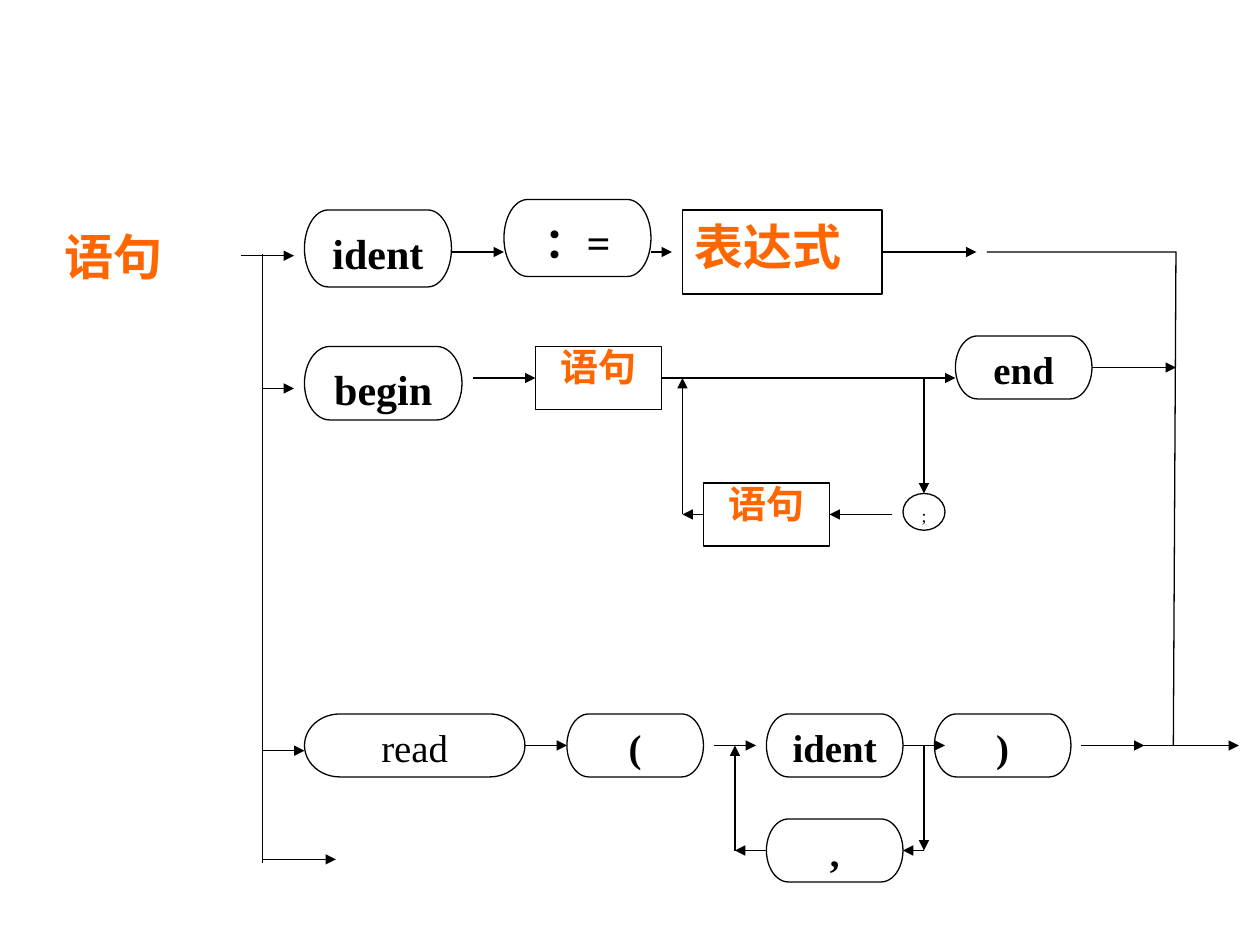
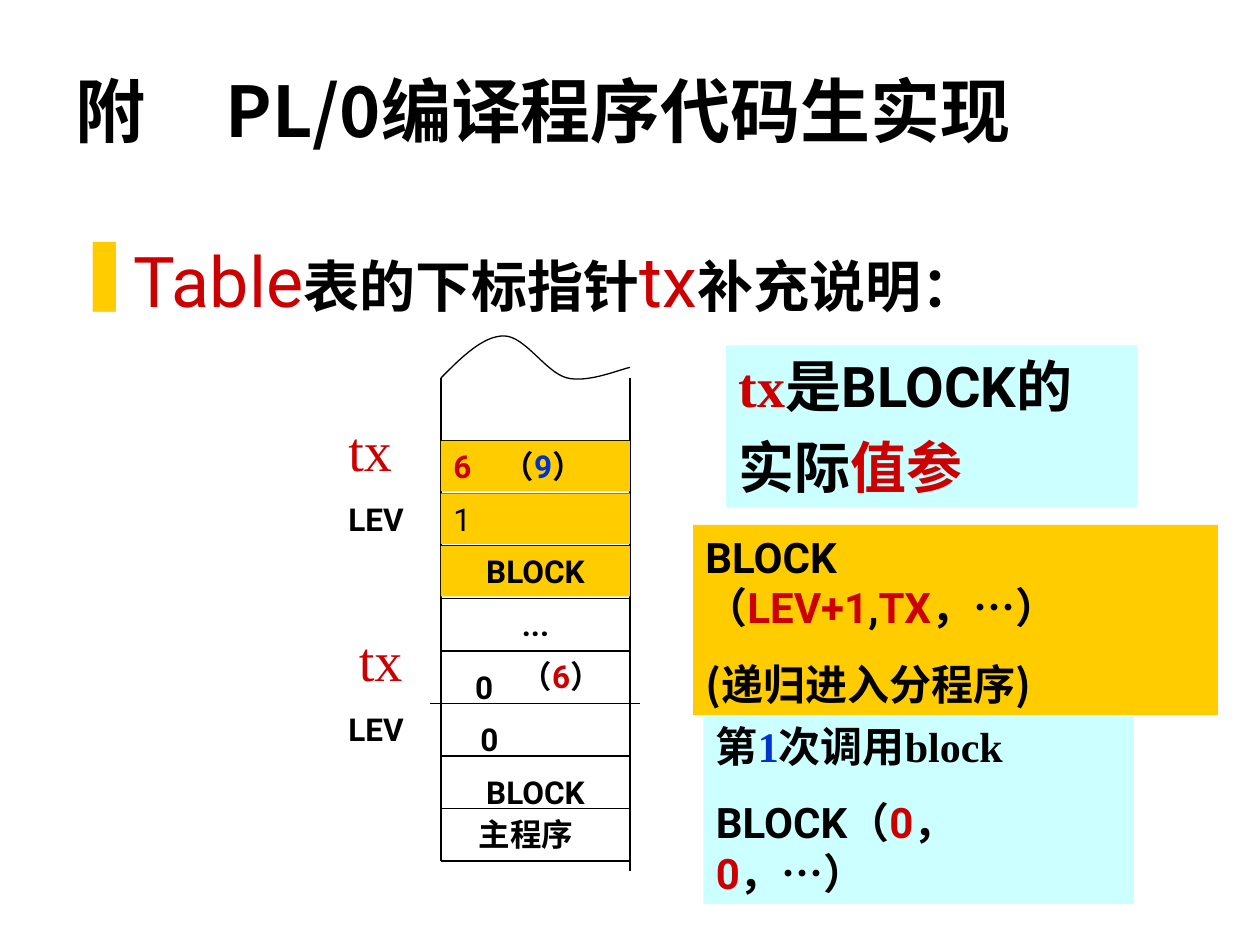
import pptx
import pptx.util
import pptx.dml.color
import pptx.enum.shapes
import pptx.enum.text
from lxml import etree
from pptx.oxml.ns import qn

COLORS = {"black": "000000", "white": "FFFFFF", "orange": "FF6600", "red": "CC0000",
          "blue": "0033CC", "gold": "FFCC00", "aqua": "CCFFFF"}
SERIF, SANS, CJK = "Times New Roman", "Roboto", "Noto Sans CJK SC"
LEFT, CENTER = pptx.enum.text.PP_ALIGN.LEFT, pptx.enum.text.PP_ALIGN.CENTER
SHAPE = pptx.enum.shapes.MSO_SHAPE
STRAIGHT = pptx.enum.shapes.MSO_CONNECTOR.STRAIGHT
Pt = pptx.util.Pt
RGB = pptx.dml.color.RGBColor.from_string

deck = pptx.Presentation()
deck.slide_width, deck.slide_height = pptx.util.Inches(10), pptx.util.Inches(7.5)
CELL = deck.slide_width // 120  # the grid has 120 columns and 90 rows


def write(box, paragraphs, align=LEFT, leading=1, before=0, tab=None, **style):
    """Fill a box with paragraphs of (text, style changes) runs; a "\\n" run breaks the line."""
    frame = box.text_frame
    frame.word_wrap = True
    frame.auto_size = pptx.enum.text.MSO_AUTO_SIZE.NONE
    frame.vertical_anchor = pptx.enum.text.MSO_ANCHOR.TOP
    for number, runs in enumerate(paragraphs):
        para = frame.add_paragraph() if number else frame.paragraphs[0]
        para.alignment, para.line_spacing = align, leading
        para.space_before = Pt(before if number else 0)
        if tab:
            tabs = etree.SubElement(para._p.get_or_add_pPr(), qn("a:tabLst"))
            etree.SubElement(tabs, qn("a:tab"), pos=str(int(tab * CELL)), algn="l")
        for text, changes in runs:
            if text == "\n":
                para.add_line_break()
                continue
            look = {"name": SANS, "size": 18, "bold": True, "color": "black", **style, **changes}
            span = para.add_run()
            span.text = text
            span.font.color.rgb = RGB(COLORS[look.pop("color")])
            look["size"] = Pt(look["size"])
            for attribute, value in look.items():
                setattr(span.font, attribute, value)
            etree.SubElement(span.font._element, qn("a:ea"), typeface=CJK)


def draw_line(page, x1, y1, x2, y2, arrow=False, sides={}):
    """Draw a line in grid units; join it to a box where an end is in sides."""
    line = page.shapes.add_connector(STRAIGHT, *[int(v * CELL) for v in (x1, y1, x2, y2)])
    if (x1, y1) in sides:
        line.begin_connect(*sides[x1, y1])
    if (x2, y2) in sides:
        line.end_connect(*sides[x2, y2])
    line.line.color.rgb = RGB(COLORS["black"])
    line.line.width = Pt(0.75)
    if arrow:
        etree.SubElement(line.line._get_or_add_ln(), qn("a:tailEnd"), type="triangle")
    etree.SubElement(line._element.spPr, qn("a:effectLst"))


# Slide 1: syntax diagram of a statement
syntax_page = deck.slides.add_slide(deck.slide_layouts[6])
heading = syntax_page.shapes.add_textbox(*[int(v * CELL) for v in (5, 21, 17, 6.8)])
write(heading, [[("语句", {})]], name=CJK, size=28, color="orange")

ROUND, PROCESS = SHAPE.FLOWCHART_TERMINATOR, SHAPE.FLOWCHART_PROCESS
large = dict(align=CENTER, name=SERIF, size=24)
small = dict(align=CENTER, name=SERIF, size=22.2, leading=0.9)
inner = dict(align=CENTER, name=SERIF, size=21.7, leading=0.8, color="orange")
symbols = [
    (ROUND, "ident", (29, 20, 14, 7.33), large),
    (ROUND, "：=", (48, 19, 14, 7.33), large),
    (PROCESS, "表达式", (65, 20, 19, 8), dict(name=SERIF, size=28, color="orange")),
    (ROUND, "begin", (29, 33, 15, 7), large),
    (PROCESS, "语句", (51, 33, 12, 6), inner),
    (ROUND, "end", (91, 32, 13, 6), small),
    (PROCESS, "语句", (67, 46, 12, 6), inner),
    (SHAPE.FLOWCHART_CONNECTOR, ";", (86, 47, 4, 3.5), dict(name=SERIF, size=10, bold=False)),
    (ROUND, "read", (29, 68, 21, 6), {**small, "bold": False}),
    (ROUND, "(", (54, 68, 13, 6), small),
    (ROUND, "ident", (73, 68, 13, 6), small),
    (ROUND, ")", (89, 68, 13, 6), small),
    (ROUND, ",", (73, 78, 13, 6), small),
]
sides = {}
for kind, text, (x, y, w, h), style in symbols:
    box = syntax_page.shapes.add_shape(kind, *[int(v * CELL) for v in (x, y, w, h)])
    box.shadow.inherit = False
    box.fill.solid()
    box.fill.fore_color.rgb = RGB(COLORS["white"])
    box.line.color.rgb = RGB(COLORS["black"])
    box.line.width = Pt(0.75)
    write(box, [[(text, {})]], **style)
    middles = [(x + w / 2, y), (x, y + h / 2), (x + w / 2, y + h), (x + w, y + h / 2)]
    sides.update({middle: (box, site) for site, middle in enumerate(middles)})

arrows = [
    (23, 24.35, 28, 24.35), (43, 24, 48, 24), (62, 24, 64, 24), (84, 24, 93, 24),
    (25, 37, 28, 37), (45, 36, 51, 36), (63, 36, 91, 36), (104, 35, 112, 35),
    (88, 36, 88, 47), (85, 49, 79, 49), (67, 49, 65, 49), (65, 49, 65, 36),
    (25, 71.5, 29, 71.5), (50, 71, 54, 71), (68, 71, 72, 71), (86, 71, 90, 71),
    (103, 71, 109, 71), (108, 71, 118, 71), (88, 71, 88, 81), (88, 81, 86, 81),
    (73, 81, 70, 81), (70, 81, 70, 71), (25, 81.85, 32, 81.85),
]
for ends in arrows:
    draw_line(syntax_page, *ends, arrow=True, sides=sides)
draw_line(syntax_page, 25, 24.15, 25, 82.2)
exit_rail = [(94, 24), (112, 24), (111.75, 71)]

# Slide 2: symbol table and its index pointer
table_page = deck.slides.add_slide(deck.slide_layouts[5])
title = table_page.shapes.title
title.left, title.top, title.width, title.height = [int(v * CELL) for v in (6, 7, 109.7, 8)]
write(title, [[("附\tPL/0编译程序代码生实现", {})]], name=CJK, size=40, tab=14.3)
title.text_frame.vertical_anchor = pptx.enum.text.MSO_ANCHOR.BOTTOM

topic = table_page.shapes.add_textbox(*[int(v * CELL) for v in (6, 22, 107.3, 8)])
bulleted = topic.text_frame.paragraphs[0]._p.get_or_add_pPr()
bulleted.set("marL", str(int(4.5 * CELL)))
bulleted.set("indent", str(int(-4.5 * CELL)))
bullet_color = etree.SubElement(bulleted, qn("a:buClr"))
etree.SubElement(bullet_color, qn("a:srgbClr"), val=COLORS["gold"])
etree.SubElement(bulleted, qn("a:buChar"), char="❚")
keyword = dict(size=40, color="red", bold=False)
write(topic, [[("Table", keyword), ("表的", {}), ("下标指针", {"name": CJK}),
               ("tx", keyword), ("补充说明：", {})]], size=32)

# Stack frame: two sides, a row line every 5 units, the wavy top
STACK_LEFT, STACK_RIGHT, STACK_TOP, ROW, ROWS = 42, 60, 42, 5, 8
draw_line(table_page, STACK_LEFT, 36, STACK_LEFT, 82)
draw_line(table_page, STACK_RIGHT, 36, STACK_RIGHT, 83)
for row in range(ROWS + 1):
    overhang = 1 if row == 5 else 0  # divides the two procedures' entries
    y = STACK_TOP + row * ROW
    draw_line(table_page, STACK_LEFT - overhang, y, STACK_RIGHT + overhang, y)

wave = [((42, 36), (44, 34), (46, 32), (48, 32)),
        ((48, 32), (50, 32), (52, 35.5), (54, 36)),
        ((54, 36), (56, 36.5), (59, 35.2), (60, 35))]
STEPS = 16
torn_edge = [wave[0][0]]
for curve in wave:
    for step in range(1, STEPS + 1):
        t = step / STEPS
        weights = ((1 - t) ** 3, 3 * t * (1 - t) ** 2, 3 * t ** 2 * (1 - t), t ** 3)
        torn_edge.append([sum(k * p[axis] for k, p in zip(weights, curve)) for axis in (0, 1)])

for page, points in ((syntax_page, exit_rail), (table_page, torn_edge)):
    start, *rest = [(int(x * CELL), int(y * CELL)) for x, y in points]
    builder = page.shapes.build_freeform(*start)
    builder.add_line_segments(rest, close=False)
    outline = builder.convert_to_shape()
    outline.shadow.inherit = False
    outline.fill.background()
    outline.line.color.rgb = RGB(COLORS["black"])
    outline.line.width = Pt(0.75)

red, blue = {"color": "red"}, {"color": "blue"}
serif, cjk = {"name": SERIF}, {"name": CJK}
line_break = ("\n", {})
middle = dict(align=CENTER)
pointer = dict(name=SERIF, size=32, color="red", bold=False)
note = dict(size=24, before=15)
entries = [
    (None, (32, 39, 8, 7.7), [[("tx", {})]], pointer),
    (None, (32, 47, 9, 4.8), [[("LEV", {})]], {}),
    (None, (33, 59, 8, 7.7), [[("tx", {})]], pointer),
    (None, (32, 67, 9, 4.8), [[("LEV", {})]], {}),
    ("gold", (42, 42, 18, 4.8),
     [[("6\t", red), ("（", {}), ("9", blue), ("）", {})]], dict(tab=4.7)),
    ("gold", (42, 47, 18, 4.8), [[("1", {})]], dict(bold=False)),
    ("gold", (42, 52, 18, 4.8), [[("BLOCK", {})]], middle),
    (None, (43, 57, 16, 4.8), [[("...", {})]], middle),
    (None, (41.1, 63, 10, 4.8), [[("0", {})]], middle),
    (None, (48.4, 62, 15, 4.8), [[("（", {}), ("6", red), ("）", {})]], {}),
    (None, (41.6, 68, 10, 4.8), [[("0", {})]], middle),
    (None, (43, 73, 16, 4.8), [[("BLOCK", {})]], middle),
    (None, (44.4, 77, 14, 4.8), [[("主程序", {})]], {}),
    ("aqua", (67, 68, 41, 18.1),
     [[("第", serif), ("1", {**serif, **blue}), ("次", serif), ("调用", cjk), ("block", serif)],
      [("BLOCK（", {}), ("0", red), ("，", {}), line_break, ("0", red), ("，…）", {})]], note),
    ("gold", (66, 50, 50, 18.1),
     [[("BLOCK", {}), line_break, ("（", {}), ("LEV+1", red), (",", {}), ("TX", red),
       ("，…）", {})],
      [("(递归", cjk), ("进入", serif), ("分程序)", cjk)]], note),
    ("aqua", (69.15, 32.9, 39.15, 15.4),
     [[("tx", {**serif, **red}), ("是", serif), ("BLOCK的", {})],
      [("实际", serif), ("值参", {**serif, **red})]], dict(size=32, before=8)),
]
for fill, place, paragraphs, style in entries:
    place = [int(v * CELL) for v in place]
    if fill:
        box = table_page.shapes.add_shape(SHAPE.RECTANGLE, *place)
        box.shadow.inherit = False
        box.fill.solid()
        box.fill.fore_color.rgb = RGB(COLORS[fill])
        box.line.fill.background()
    else:
        box = table_page.shapes.add_textbox(*place)
    write(box, paragraphs, **style)

deck.save("out.pptx")
